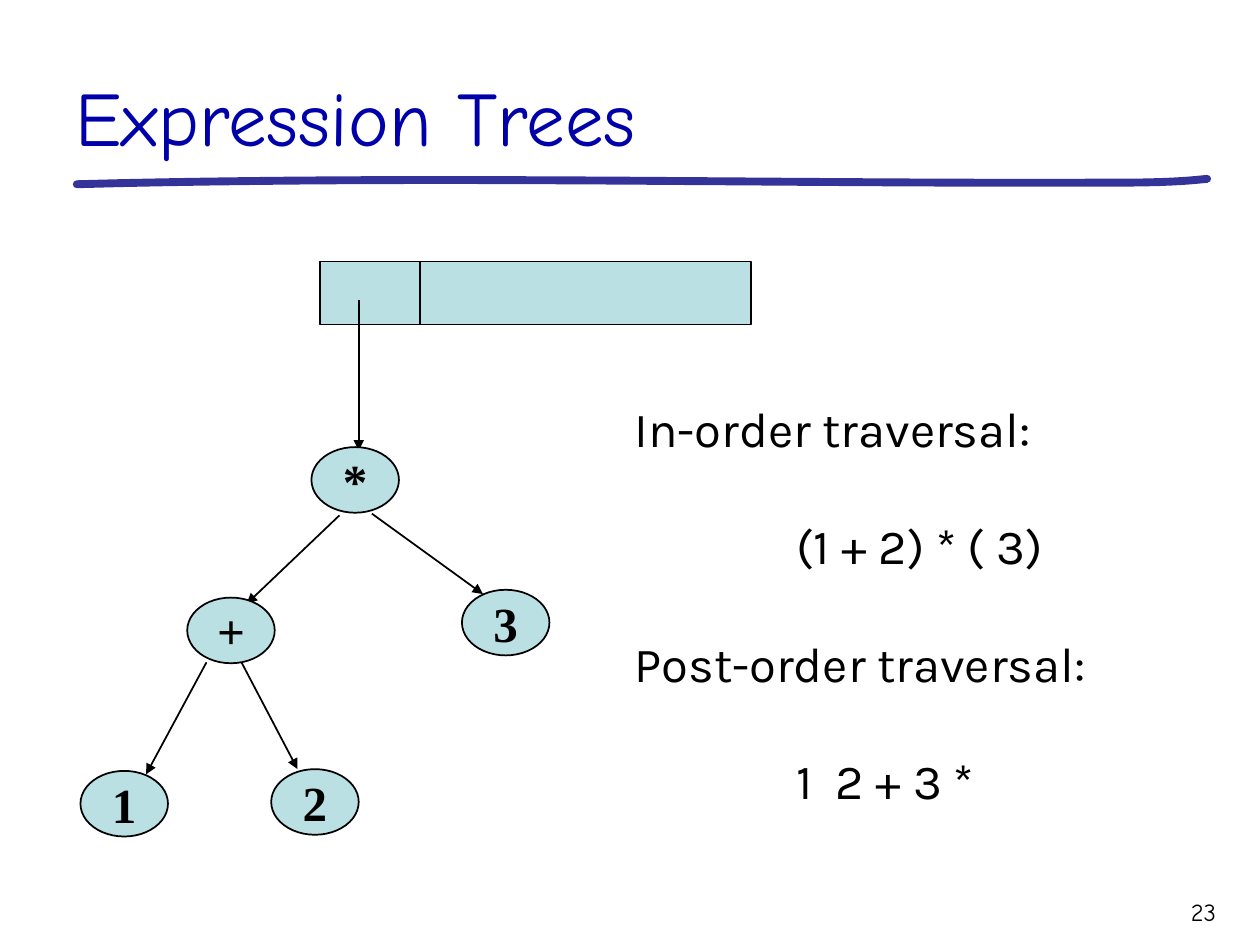
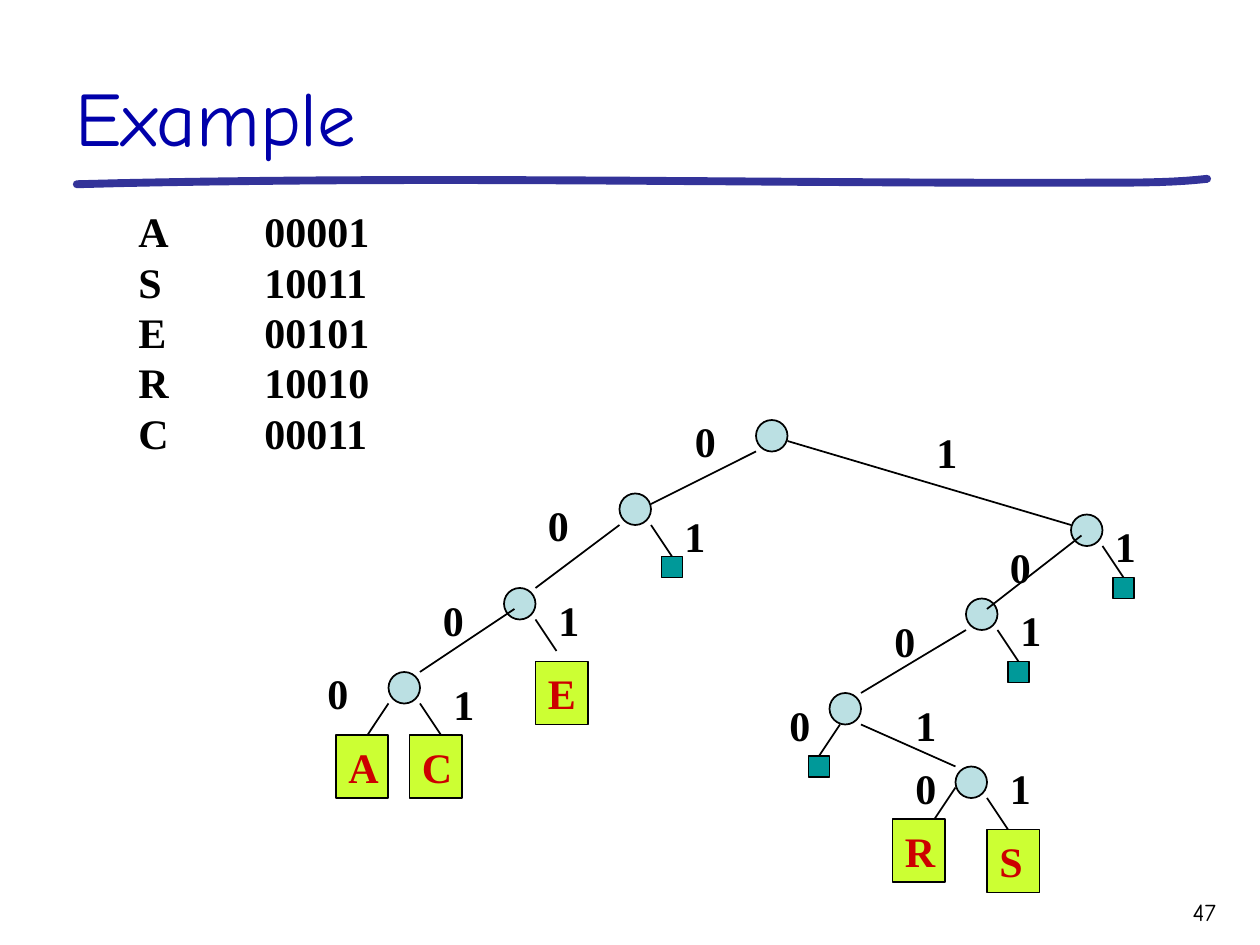
from lxml import etree
from pptx import Presentation
from pptx.dml.color import RGBColor
from pptx.enum.shapes import MSO_CONNECTOR, MSO_SHAPE
from pptx.enum.text import MSO_ANCHOR as ANCHOR, PP_ALIGN as ALIGN
from pptx.oxml.ns import qn
from pptx.util import Pt

TITLE_FONT, BODY_FONT, NODE_FONT = "Comic Neue", "Karla", "Times New Roman"
BLACK, TITLE_BLUE, RULE_BLUE = "000000", "0000AA", "333399"
NODE_FILL, EMPTY_FILL, LEAF_FILL, LEAF_TEXT = "BBE0E3", "009999", "CCFF33", "CC0000"
GRID = 6  # points per step of the code tree
FINE = 100  # freeform units per point, for a smooth curve


def color(hex_text):
    return RGBColor.from_string(hex_text)


# ---- Basic parts ----
def write(tf, lines, size, font, ink=BLACK, bold=False, align=ALIGN.LEFT,
          anchor=ANCHOR.TOP):
    tf.word_wrap = True
    tf.vertical_anchor = anchor
    for i, line in enumerate(lines):
        p = tf.add_paragraph() if i else tf.paragraphs[0]
        p.alignment = align
        p.line_spacing = Pt(1.2 * size)
        r = p.add_run()
        r.text = line
        r.font.size, r.font.name, r.font.bold = Pt(size), font, bold
        r.font.color.rgb = color(ink)
    return tf.paragraphs


def add_text(s, x, y, w, h, lines, size, font, **style):
    box = s.shapes.add_textbox(Pt(x), Pt(y), Pt(w), Pt(h))
    return write(box.text_frame, lines, size, font, **style)


def add_shape(s, kind, x, y, w, h, fill):
    sp = s.shapes.add_shape(kind, Pt(x), Pt(y), Pt(w), Pt(h))
    sp.shadow.inherit = False
    sp.fill.solid()
    sp.fill.fore_color.rgb = color(fill)
    sp.line.color.rgb = color(BLACK)
    sp.line.width = Pt(1)
    return sp


def add_line(s, x1, y1, x2, y2, arrow=False):
    c = s.shapes.add_connector(MSO_CONNECTOR.STRAIGHT, Pt(x1), Pt(y1), Pt(x2), Pt(y2))
    c.line.color.rgb = color(BLACK)
    c.line.width = Pt(1)
    if arrow:
        etree.SubElement(c.line._get_or_add_ln(), qn("a:tailEnd"), type="triangle")
    etree.SubElement(c._element.spPr, qn("a:effectLst"))
    return c


# ---- Shared frame: title, hand-drawn rule, page number ----
def curve(p0, p1, p2, p3, steps=24):
    for i in range(1, steps + 1):
        t = i / steps
        yield tuple(FINE * ((1 - t) ** 3 * a + 3 * (1 - t) ** 2 * t * b
                            + 3 * (1 - t) * t ** 2 * c + t ** 3 * d)
                    for a, b, c, d in zip(p0, p1, p2, p3))


def add_rule(s):
    start, bend, end = (43.9, 105.3), (630.7, 104.4), (689.8, 102.2)
    points = [*curve(start, (239.8, 100.1), (435.6, 105.1), bend),
              *curve(bend, (650.9, 104.4), (670.3, 104.4), end)]
    fb = s.shapes.build_freeform(FINE * start[0], FINE * start[1], scale=Pt(1) / FINE)
    fb.add_line_segments(points, close=False)
    sp = fb.convert_to_shape()
    sp.shadow.inherit = False
    sp.fill.background()
    sp.line.color.rgb = color(RULE_BLUE)
    sp.line.width = Pt(4.5)
    sp.line._get_or_add_ln().set("cap", "rnd")


def add_slide(prs, title, number):
    s = prs.slides.add_slide(prs.slide_layouts[6])
    add_rule(s)
    add_text(s, 36, 12, 666, 84, [title], 44, TITLE_FONT,
             ink=TITLE_BLUE, anchor=ANCHOR.BOTTOM)
    add_text(s, 630, 509, 72, 25, [number], 14, TITLE_FONT, align=ALIGN.RIGHT)
    return s


# ---- Expression tree ----
def expression_tree(s, left, top):
    def line(x1, y1, x2, y2, arrow=True):
        add_line(s, left + x1, top + y1, left + x2, top + y2, arrow)

    # Record holding the pointer to the root
    add_shape(s, MSO_SHAPE.RECTANGLE, left + 137, top, 246, 36, NODE_FILL)
    line(194, 0, 194, 36, arrow=False)
    line(159, 22, 159, 108)

    # Edges
    for edge in [(148, 145, 95, 195.5), (166.5, 144, 230, 190),
                 (72, 229, 37.5, 293), (92, 229, 124, 290)]:
        line(*edge)

    # Nodes
    for label, x, y in [("*", 132, 106), ("+", 61, 192), ("1", 0, 291),
                        ("2", 109, 290), ("3", 218, 187.5)]:
        sp = add_shape(s, MSO_SHAPE.OVAL, left + x, top + y, 50, 37.5, NODE_FILL)
        write(sp.text_frame, [label], 28, NODE_FONT, bold=True,
              align=ALIGN.CENTER, anchor=ANCHOR.MIDDLE)


def traversals(s, left, top, w, h):
    lines = ["In-order traversal:", "(1 + 2) * ( 3)",
             "Post-order traversal:", "1  2 + 3 *"]
    for i, p in enumerate(add_text(s, left, top, w, h, lines, 28, BODY_FONT)):
        if i:
            p.space_before = Pt(33.6)
        if i % 2:
            p._p.get_or_add_pPr().set("marL", str(Pt(92.5)))


# ---- Code table and its digital search tree ----
def code_list(s, left, top, w, h):
    codes = {"A": "00001", "S": "10011", "E": "00101", "R": "10010", "C": "00011"}
    lines = [f"{letter}\t{code}" for letter, code in codes.items()]
    for p in add_text(s, left, top, w, h, lines, 24, NODE_FONT, bold=True):
        tabs = etree.SubElement(p._p.get_or_add_pPr(), qn("a:tabLst"))
        etree.SubElement(tabs, qn("a:tab"), pos=str(Pt(72)), algn="l")


def code_tree(s, left, top):
    def at(x, y):
        return left + GRID * x, top + GRID * y

    def shape(kind, x, y, w, h, fill):
        return add_shape(s, kind, *at(x, y), GRID * w, GRID * h, fill)

    def line(x1, y1, x2, y2):
        return add_line(s, *at(x1, y1), *at(x2, y2))

    def empty_leaf(branch, x, y):
        square = shape(MSO_SHAPE.RECTANGLE, x - 1, y, 2, 2, EMPTY_FILL)
        branch.end_connect(square, 0)

    # Inner nodes
    nodes = [(42, 1), (29, 8), (18, 17), (7, 25), (72, 10), (62, 18), (49, 27), (61, 34)]
    for x, y in nodes:
        shape(MSO_SHAPE.OVAL, x, y, 3, 3, NODE_FILL)

    # Edges between inner nodes
    for edge in [(42, 4, 32, 9), (29, 11, 21, 17), (19, 19, 10, 25), (45, 3, 72, 11),
                 (73, 12, 64, 19), (62, 21, 52, 27), (52, 30, 61, 34)]:
        line(*edge)

    # Short branches to the right, then to the left
    for x, y in nodes:
        if (x, y) in [(42, 1), (49, 27)]:
            continue
        branch = line(x + 3, y + 3, x + 5, y + 6)
        if (x, y) in [(29, 8), (72, 10), (62, 18)]:
            empty_leaf(branch, x + 5, y + 6)
    for x, y in [(7, 28), (50, 30), (61, 36)]:
        branch = line(x, y, x - 2, y + 3)
        if x == 50:
            empty_leaf(branch, x - 2, y + 3)

    # Lettered leaves
    for letter, x, y in [("A", 2, 31), ("C", 9, 31), ("E", 21, 24),
                         ("R", 55, 39), ("S", 64, 40)]:
        sp = shape(MSO_SHAPE.RECTANGLE, x, y, 5, 6, LEAF_FILL)
        write(sp.text_frame, [letter], 24, NODE_FONT, ink=LEAF_TEXT, bold=True)

    # Bits on the branches
    bits = {"0": [(35, 0), (21, 8), (11, 17), (0, 24), (65, 12), (54, 19), (44, 27), (56, 33)],
            "1": [(58, 1), (75, 10), (66, 18), (56, 27), (65, 33), (34, 9), (22, 17), (12, 25)]}
    for bit, places in bits.items():
        for x, y in places:
            add_text(s, *at(x, y), 26.5, 36, [bit], 24, NODE_FONT, bold=True)


def main():
    prs = Presentation()
    prs.slide_width, prs.slide_height = Pt(720), Pt(540)

    s = add_slide(prs, "Expression Trees", "23")
    traversals(s, 355.5, 224, 342, 294)
    expression_tree(s, 46, 149.5)

    s = add_slide(prs, "Example", "47")
    code_list(s, 72, 114, 160, 180)
    code_tree(s, 180, 234)

    prs.save("out.pptx")


if __name__ == "__main__":
    main()
